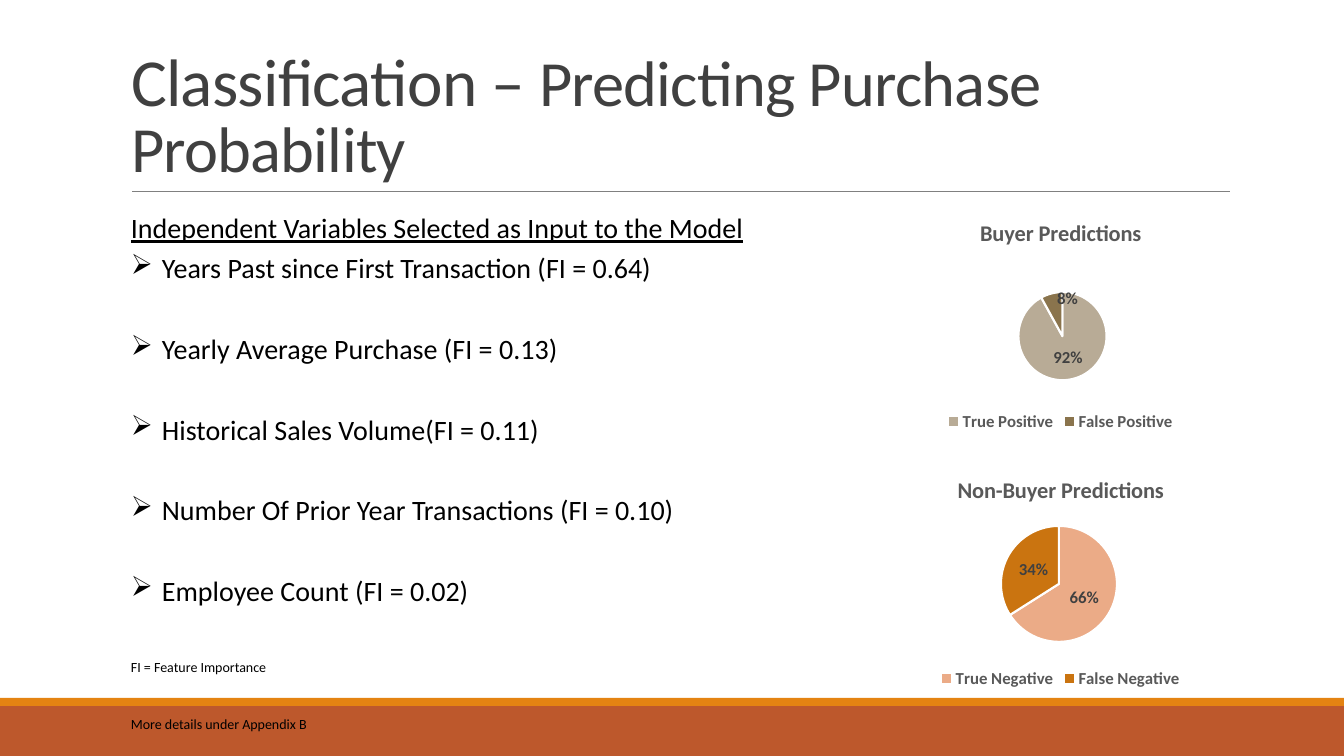
"""Build the purchase probability slide with its variable list and two pie charts."""
import pptx
import pptx.chart.data
import pptx.dml.color
import pptx.enum.chart
import pptx.enum.shapes
import pptx.enum.text
import pptx.oxml.ns
import pptx.oxml.xmlchemy
import pptx.util

COLOURS = {
    "band": "BD582C", "stripe": "E48312", "rule": "808080", "title": "404040",
    "text": "000000", "muted": "595959", "white": "FFFFFF",
    "true positive": "B8AB96", "false positive": "8A744D",
    "true negative": "EBAB87", "false negative": "CA7410",
}
VARIABLES = [
    "Years Past since First Transaction (FI = 0.64)",
    "Yearly Average Purchase (FI = 0.13)",
    "Historical Sales Volume(FI = 0.11)",
    "Number Of Prior Year Transactions (FI = 0.10)",
    "Employee Count (FI = 0.02)",
]


class SlideBuilder:
    font = "Calibri"
    scale = 914400 / 100.8

    def __init__(self, deck):
        self.page = deck.slides.add_slide(deck.slide_layouts[5])

    def px(self, *lengths):
        return [round(length * self.scale) for length in lengths]

    def colour(self, name):
        return pptx.dml.color.RGBColor.from_string(COLOURS[name])

    def element(self, tag, **attributes):
        element = pptx.oxml.xmlchemy.OxmlElement(tag)
        for name, value in attributes.items():
            element.set(name, str(value))
        return element

    def style(self, font, size, colour, bold=False):
        font.name = self.font
        font.size = pptx.util.Pt(size)
        font.bold = bold
        font.color.rgb = self.colour(colour)

    def span(self, para, text, size, colour="text"):
        span = para.add_run()
        span.text = text
        self.style(span.font, size, colour)
        return span

    def bar(self, colour, *area):
        bar = self.page.shapes.add_shape(
            pptx.enum.shapes.MSO_SHAPE.RECTANGLE, *self.px(*area))
        bar.shadow.inherit = False
        bar.fill.solid()
        bar.fill.fore_color.rgb = self.colour(colour)
        bar.line.fill.background()

    def rule(self, colour, *ends):
        rule = self.page.shapes.add_connector(
            pptx.enum.shapes.MSO_CONNECTOR.STRAIGHT, *self.px(*ends))
        rule.line.color.rgb = self.colour(colour)
        rule.line.width = pptx.util.Pt(0.5)
        rule._element.spPr.append(self.element("a:effectLst"))

    def title(self, parts, *area):
        box = self.page.shapes.title
        box.left, box.top, box.width, box.height = self.px(*area)
        frame = box.text_frame
        frame.word_wrap = True
        frame.auto_size = pptx.enum.text.MSO_AUTO_SIZE.NONE
        frame.vertical_anchor = pptx.enum.text.MSO_ANCHOR.BOTTOM
        para = frame.paragraphs[0]
        para.alignment = pptx.enum.text.PP_ALIGN.LEFT
        para.line_spacing = 0.85
        for text, size in parts:
            span = self.span(para, text, size, "title")
            span.font._element.set("spc", "-50")

    def text_box(self, *area):
        box = self.page.shapes.add_textbox(*self.px(*area))
        box.text_frame.word_wrap = True
        return box.text_frame

    def note(self, text, *area):
        self.span(self.text_box(*area).paragraphs[0], text, 10)

    def bullet_list(self, heading, items, *area):
        frame = self.text_box(*area)
        para = frame.paragraphs[0]
        para.line_spacing = 1.2
        self.span(para, heading, 20).font.underline = True
        indent = self.px(31)[0]
        for index, item in enumerate(items):
            para = frame.add_paragraph()
            para.line_spacing = 1.2
            para.space_before = pptx.util.Pt(28.8 if index else 0)
            self.span(para, item, 20)
            properties = para._p.get_or_add_pPr()
            properties.set("marL", str(indent))
            properties.set("indent", str(-indent))
            properties.append(self.element("a:buChar", char="➢"))

    def layout(self, **settings):
        layout = self.element("c:layout")
        manual = self.element("c:manualLayout")
        layout.append(manual)
        for tag, value in settings.items():
            manual.append(self.element("c:" + tag, val=value))
        return layout

    def pie(self, title, shares, pie_area, *area):
        data = pptx.chart.data.CategoryChartData(number_format="0%")
        data.categories = list(shares)
        data.add_series("Series 1", list(shares.values()))
        chart = self.page.shapes.add_chart(
            pptx.enum.chart.XL_CHART_TYPE.PIE, *self.px(*area), data).chart
        self.style(chart.font, 10, "text")
        chart.has_title = True
        para = chart.chart_title.text_frame.paragraphs[0]
        self.span(para, title, 16, "muted").font.bold = True
        chart.has_legend = True
        chart.legend.position = pptx.enum.chart.XL_LEGEND_POSITION.BOTTOM
        chart.legend.include_in_layout = False
        self.style(chart.legend.font, 12, "muted", True)
        plot = chart.plots[0]
        plot.vary_by_categories = True
        for index, name in enumerate(shares):
            slice_format = plot.series[0].points[index].format
            slice_format.fill.solid()
            slice_format.fill.fore_color.rgb = self.colour(name.lower())
            slice_format.line.color.rgb = self.colour("white")
            slice_format.line.width = pptx.util.Pt(1.5)
        labels = plot.series[0].data_labels
        labels.show_value = True
        labels.number_format = "0%"
        labels.number_format_is_linked = False
        labels.position = pptx.enum.chart.XL_LABEL_POSITION.CENTER
        self.style(labels.font, 12, "title", True)
        left, top, size = pie_area
        plot_area = chart._chartSpace.chart.plotArea
        for old in plot_area.findall(pptx.oxml.ns.qn("c:layout")):
            plot_area.remove(old)
        plot_area.insert(0, self.layout(
            layoutTarget="inner", xMode="edge", yMode="edge",
            x=round(left / area[2], 2), y=round(top / area[3], 2),
            w=round(size / area[2], 2), h=round(size / area[3], 2)))
        return plot.series[0]

    def shift_label(self, series, index, across, down):
        label = series.points[index].data_label
        self.style(label.font, 12, "title", True)
        label.position = pptx.enum.chart.XL_LABEL_POSITION.CENTER
        entry = series.data_labels._element.find(pptx.oxml.ns.qn("c:dLbl"))
        entry.insert(1, self.layout(x=across, y=down))


def main():
    deck = pptx.Presentation()
    deck.slide_width = pptx.util.Inches(13.33)
    deck.slide_height = pptx.util.Inches(7.5)
    slide = SlideBuilder(deck)
    slide.bar("band", 0, 706, 1344, 50)
    slide.bar("stripe", 0, 698, 1344, 8)
    slide.rule("rule", 132, 191, 1230, 191)
    slide.title([("Classification – ", 48), ("Predicting Purchase Probability", 46)],
                121, 31, 1202, 160)
    slide.bullet_list("Independent Variables Selected as Input to the Model",
                      VARIABLES, 121, 199, 689, 456)
    buyers = slide.pie("Buyer Predictions",
                       {"True Positive": 0.92, "False Positive": 0.08},
                       (133, 87, 88), 884, 204, 353, 232)
    slide.shift_label(buyers, 1, 0.03, -0.07)
    slide.pie("Non-Buyer Predictions",
              {"True Negative": 0.66, "False Negative": 0.34},
              (118, 66, 116), 884, 461, 353, 232)
    slide.note("More details under Appendix B", 121, 711, 406, 27)
    slide.note("FI = Feature Importance", 121, 654, 406, 27)
    deck.save("out.pptx")


if __name__ == "__main__":
    main()
